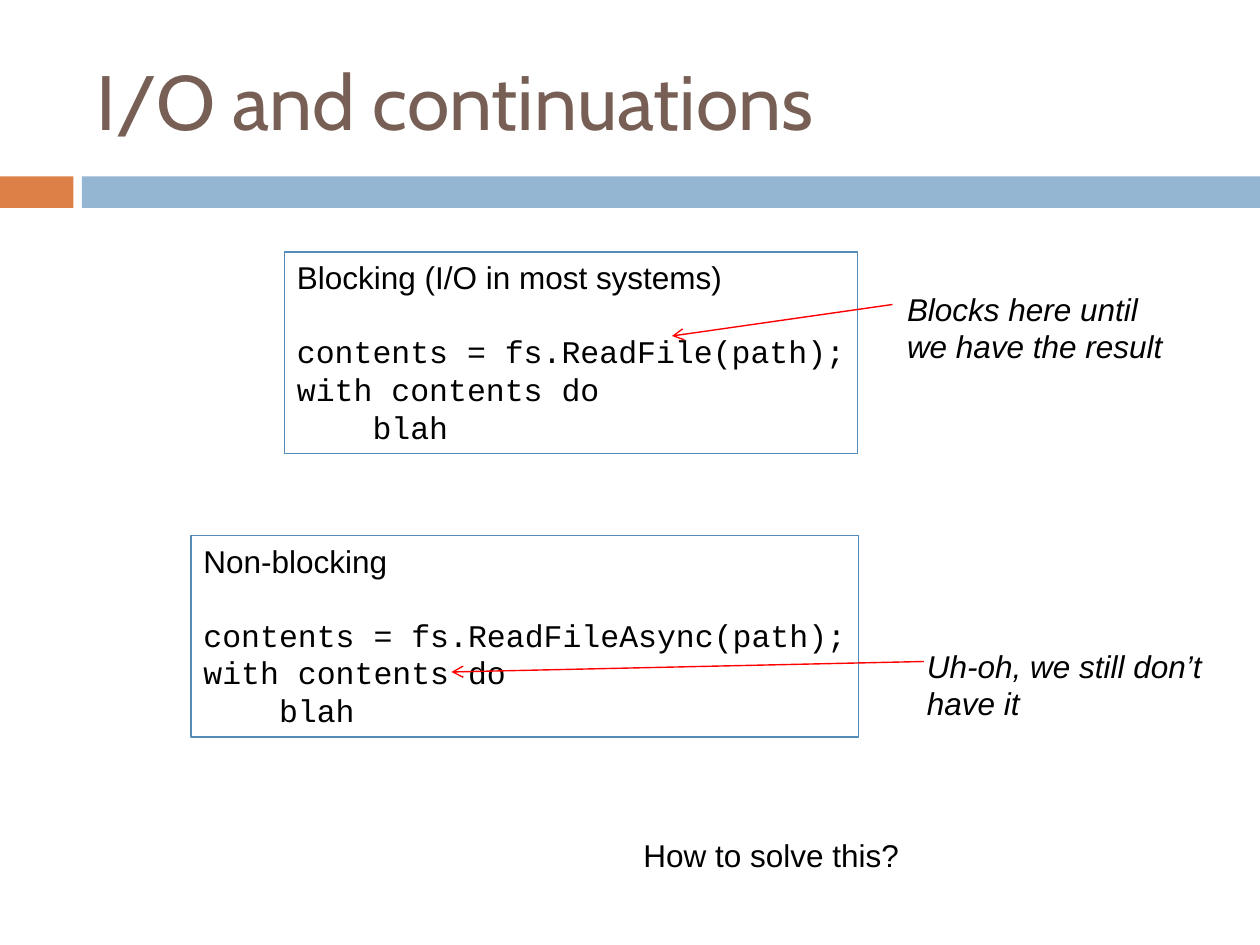
from dataclasses import dataclass

from lxml import etree
from pptx import Presentation
from pptx.dml.color import RGBColor
from pptx.enum.shapes import MSO_CONNECTOR, MSO_SHAPE
from pptx.enum.text import MSO_ANCHOR, MSO_AUTO_SIZE, PP_ALIGN
from pptx.oxml.ns import qn
from pptx.util import Emu, Inches, Pt

RECTANGLE = MSO_SHAPE.RECTANGLE
STRAIGHT = MSO_CONNECTOR.STRAIGHT
MIDDLE = MSO_ANCHOR.MIDDLE
NO_AUTOFIT = MSO_AUTO_SIZE.NONE
LEFT = PP_ALIGN.LEFT

COLUMNS, ROWS = 120, 90
SLIDE_WIDTH, SLIDE_HEIGHT = Inches(10), Inches(7.5)
BODY = {"name": "Arial", "size": Pt(18), "color": "000000"}
CODE = BODY | {"name": "Courier New"}
REMARK = BODY | {"italic": True}
TITLE = {"name": "Cabin", "size": Pt(44), "color": "775F55"}
BLANK_LINE = Pt(20.7)
CODE_INDENT = Pt(43.2)


@dataclass
class Box:
    """A rectangle in grid columns and rows."""
    left: float
    top: float
    width: float
    height: float


@dataclass
class Line:
    text: str
    font: dict
    space_before: int = 0
    indent: int = 0


@dataclass
class TextBlock:
    box: Box
    lines: list[Line]
    outline: str | None = None


@dataclass
class Arrow:
    start: tuple[float, float]
    end: tuple[float, float]


def code_lines(heading: str, function: str) -> list[Line]:
    return [
        Line(heading, BODY),
        Line(f"contents = fs.{function}(path);", CODE, space_before=BLANK_LINE),
        Line("with contents do", CODE),
        Line("blah", CODE, indent=CODE_INDENT),
    ]


BANDS = [
    (Box(0, 16.8, 7, 3), "DD8047"),
    (Box(7.8, 16.8, 112.2, 3), "94B6D2"),
]
TITLE_BOX = Box(8, 3, 107, 13)
TEXT_BLOCKS = [
    TextBlock(Box(27.1, 24, 54.6, 19.2),
              code_lines("Blocking (I/O in most systems)", "ReadFile"), "558BB8"),
    TextBlock(Box(18.2, 51, 63.6, 19.2),
              code_lines("Non-blocking", "ReadFileAsync"), "558BB8"),
    TextBlock(Box(85.2, 27, 26.8, 8.4),
              [Line("Blocks here until", REMARK), Line("we have the result", REMARK)]),
    TextBlock(Box(87.1, 61, 28.6, 8.4),
              [Line("Uh-oh, we still don’t\vhave it", REMARK)]),
    TextBlock(Box(60.1, 79, 26.8, 4.8), [Line("How to solve this?", BODY)]),
]
ARROWS = [Arrow((85, 29), (64, 32)), Arrow((88, 63), (43, 64))]


def color(value: str) -> RGBColor:
    return RGBColor.from_string(value)


def across(columns: float) -> Emu:
    return Emu(round(columns * SLIDE_WIDTH / COLUMNS))


def down(rows: float) -> Emu:
    return Emu(round(rows * SLIDE_HEIGHT / ROWS))


def place(box: Box) -> tuple[Emu, Emu, Emu, Emu]:
    return across(box.left), down(box.top), across(box.width), down(box.height)


def format_font(font, values: dict) -> None:
    for name, value in values.items():
        if name == "color":
            font.color.rgb = color(value)
        else:
            setattr(font, name, value)


def write_line(paragraph, line: Line) -> None:
    paragraph.text = line.text
    paragraph.alignment = LEFT
    if line.space_before:
        paragraph.space_before = line.space_before
    if line.indent:
        paragraph._p.get_or_add_pPr().set("marL", str(line.indent))
    for run in paragraph.runs:
        format_font(run.font, line.font)


def add_band(slide, box: Box, fill: str) -> None:
    shape = slide.shapes.add_shape(RECTANGLE, *place(box))
    shape.shadow.inherit = False
    shape.fill.solid()
    shape.fill.fore_color.rgb = color(fill)
    shape.line.fill.background()


def write_title(slide, text: str) -> None:
    title = slide.shapes.title
    title.left, title.top, title.width, title.height = place(TITLE_BOX)
    title.text_frame.auto_size = NO_AUTOFIT
    title.text_frame.vertical_anchor = MIDDLE
    write_line(title.text_frame.paragraphs[0], Line(text, TITLE))


def add_text_block(slide, block: TextBlock) -> None:
    shape = slide.shapes.add_textbox(*place(block.box))
    frame = shape.text_frame
    frame.word_wrap = False
    if block.outline:
        shape.line.color.rgb = color(block.outline)
        shape.line.width = Pt(0.75)
    for index, line in enumerate(block.lines):
        paragraph = frame.add_paragraph() if index else frame.paragraphs[0]
        write_line(paragraph, line)


def add_arrow(slide, arrow: Arrow) -> None:
    (start_column, start_row), (end_column, end_row) = arrow.start, arrow.end
    connector = slide.shapes.add_connector(
        STRAIGHT, across(start_column), down(start_row), across(end_column), down(end_row))
    connector.line.color.rgb = color("FF0000")
    connector.line.width = Pt(0.79)
    etree.SubElement(connector.line._get_or_add_ln(), qn("a:tailEnd"), type="arrow")
    etree.SubElement(connector._element.spPr, qn("a:effectLst"))


def main() -> None:
    presentation = Presentation()
    presentation.slide_width, presentation.slide_height = SLIDE_WIDTH, SLIDE_HEIGHT
    slide = presentation.slides.add_slide(presentation.slide_layouts.get_by_name("Title Only"))
    for box, fill in BANDS:
        add_band(slide, box, fill)
    write_title(slide, "I/O and continuations")
    for block in TEXT_BLOCKS:
        add_text_block(slide, block)
    for arrow in ARROWS:
        add_arrow(slide, arrow)
    presentation.save("out.pptx")


if __name__ == "__main__":
    main()
